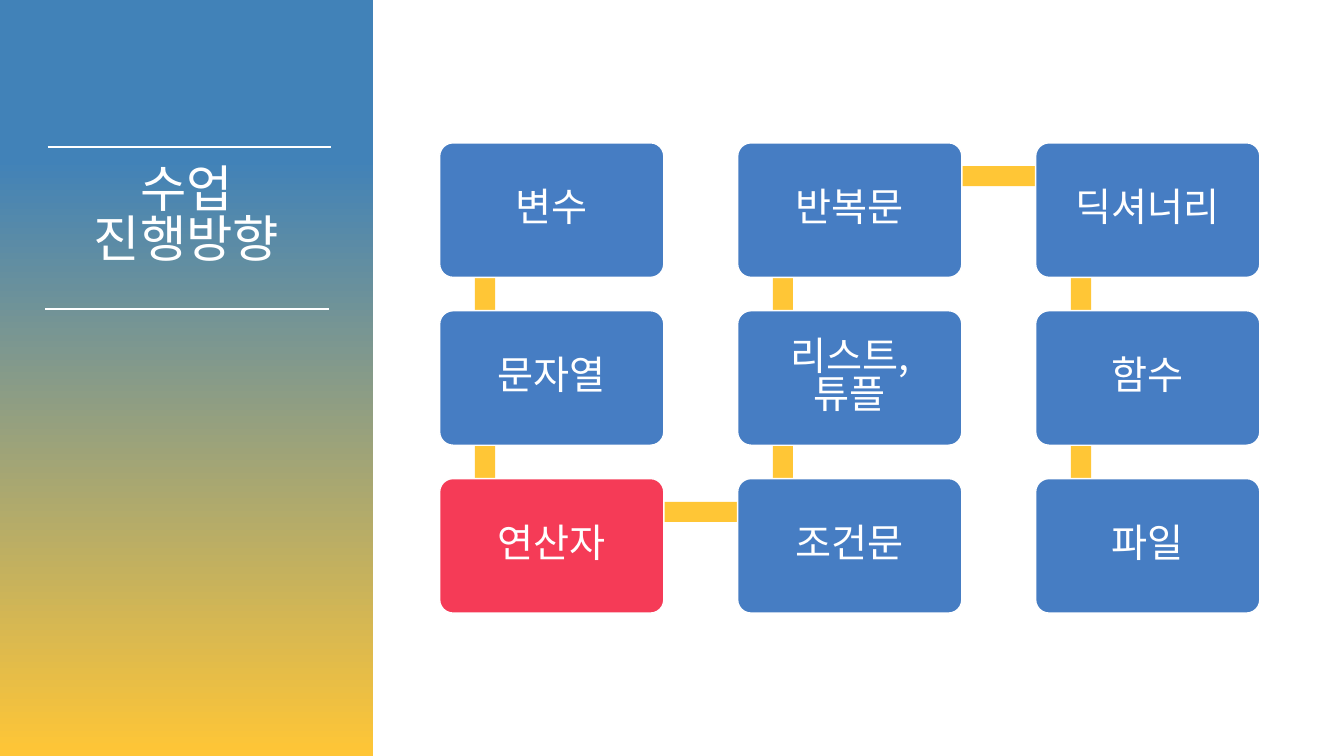
from dataclasses import dataclass
from math import atan2, degrees, hypot

from lxml.etree import SubElement
from pptx import Presentation
from pptx.dml.color import RGBColor
from pptx.enum.shapes import MSO_CONNECTOR as Connector, MSO_SHAPE as Preset
from pptx.enum.text import MSO_ANCHOR as Anchor, MSO_AUTO_SIZE as AutoSize, PP_ALIGN as Align
from pptx.oxml.ns import qn
from pptx.slide import Slide
from pptx.text.text import TextFrame
from pptx.util import Cm, Pt

FONT = "Noto Sans CJK KR"
WHITE = RGBColor(0xFF, 0xFF, 0xFF)
PANEL_BLUE = RGBColor(0x41, 0x82, 0xB8)
STEP_BLUE = RGBColor(0x46, 0x7D, 0xC3)
CURRENT_RED = RGBColor(0xF5, 0x3B, 0x57)
YELLOW = RGBColor(0xFF, 0xC6, 0x36)

# Step grid, in centimetres
GRID_LEFT, GRID_TOP = 11.08, 3.6
COLUMN_PITCH, ROW_PITCH = 7.51, 4.23
STEP_WIDTH, STEP_HEIGHT = 5.65, 3.39
JOINT_X, JOINT_Y = 1.14, 0.84  # where the path passes inside each step
PATH_THICKNESS = 0.51


@dataclass
class Step:
    label: str
    column: int
    row: int
    color: RGBColor = STEP_BLUE

    @property
    def left(self) -> float:
        return GRID_LEFT + self.column * COLUMN_PITCH

    @property
    def top(self) -> float:
        return GRID_TOP + self.row * ROW_PITCH


@dataclass
class Rule:
    left: float
    top: float
    width: float = 7.14


# The steps in teaching order: down, up, then down again
STEPS = [
    Step("변수", 0, 0), Step("문자열", 0, 1), Step("연산자", 0, 2, CURRENT_RED),
    Step("조건문", 1, 2), Step("리스트,튜플", 1, 1), Step("반복문", 1, 0),
    Step("딕셔너리", 2, 0), Step("함수", 2, 1), Step("파일", 2, 2),
]
RULES = [Rule(1.2, 3.71), Rule(1.14, 7.78)]


def format_text(frame: TextFrame, size: int, spacing: float) -> None:
    for para in frame.paragraphs:
        para.alignment = Align.CENTER
        para.line_spacing = spacing
        for span in para.runs:
            span.font.name = FONT
            span.font.size = Pt(size)
            span.font.color.rgb = WHITE
            SubElement(span.font._element, qn("a:ea"), typeface=FONT)


def add_panel(page: Slide) -> None:
    panel = page.shapes.add_shape(Preset.RECTANGLE, 0, 0, Cm(9.41), Cm(19.05))
    panel.shadow.inherit = False
    panel.line.fill.background()
    panel.fill.gradient()
    panel.fill.gradient_angle = 270
    stops = panel.fill.gradient_stops
    for stop, position, color in zip(stops, (0.21, 1), (PANEL_BLUE, YELLOW)):
        stop.position = position
        stop.color.rgb = color


def add_rule(page: Slide, rule: Rule) -> None:
    line = page.shapes.add_connector(
        Connector.STRAIGHT, Cm(rule.left), Cm(rule.top),
        Cm(rule.left + rule.width), Cm(rule.top))
    line.line.color.rgb = WHITE
    line.line.width = Pt(1.5)
    SubElement(line.element.spPr, qn("a:effectLst"))


def add_title(page: Slide) -> None:
    title = page.shapes.title
    title.left, title.top, title.width, title.height = Cm(0), Cm(4.09), Cm(9.4), Cm(3.33)
    frame = title.text_frame
    frame.text = "수업\n진행방향"
    frame.word_wrap = True
    frame.auto_size = AutoSize.SHAPE_TO_FIT_TEXT
    frame.vertical_anchor = Anchor.TOP
    format_text(frame, 36, 0.83)
    title.element.getparent().append(title.element)  # in front of the panel


def add_path(page: Slide, start: Step, end: Step) -> None:
    across, down = end.left - start.left, end.top - start.top
    length = hypot(across, down)
    center_x = start.left + JOINT_X + across / 2
    center_y = start.top + JOINT_Y + down / 2
    bar = page.shapes.add_shape(
        Preset.RECTANGLE, Cm(center_x - length / 2), Cm(center_y - PATH_THICKNESS / 2),
        Cm(length), Cm(PATH_THICKNESS))
    bar.rotation = degrees(atan2(down, across))
    bar.shadow.inherit = False
    bar.fill.solid()
    bar.fill.fore_color.rgb = YELLOW
    bar.line.fill.background()


def add_step(page: Slide, step: Step) -> None:
    box = page.shapes.add_shape(
        Preset.ROUNDED_RECTANGLE, Cm(step.left), Cm(step.top),
        Cm(STEP_WIDTH), Cm(STEP_HEIGHT))
    box.adjustments[0] = 0.1
    box.shadow.inherit = False
    box.fill.solid()
    box.fill.fore_color.rgb = step.color
    box.line.color.rgb = WHITE
    box.line.width = Pt(1)
    frame = box.text_frame
    frame.text = step.label
    frame.word_wrap = True
    frame.vertical_anchor = Anchor.MIDDLE
    frame.margin_left = frame.margin_right = Cm(0.4)
    frame.margin_top = frame.margin_bottom = Cm(0.4)
    format_text(frame, 28, 0.81)


def main() -> None:
    deck = Presentation()
    deck.slide_width, deck.slide_height = Cm(33.87), Cm(19.05)
    page = deck.slides.add_slide(deck.slide_layouts.get_by_name("Title Only"))

    # Side panel with the title between two rules
    add_panel(page)
    for rule in RULES:
        add_rule(page, rule)
    add_title(page)

    # Path first, so that the steps cover its joints
    for start, end in zip(STEPS, STEPS[1:]):
        add_path(page, start, end)
    for step in STEPS:
        add_step(page, step)

    deck.save("out.pptx")


if __name__ == "__main__":
    main()
